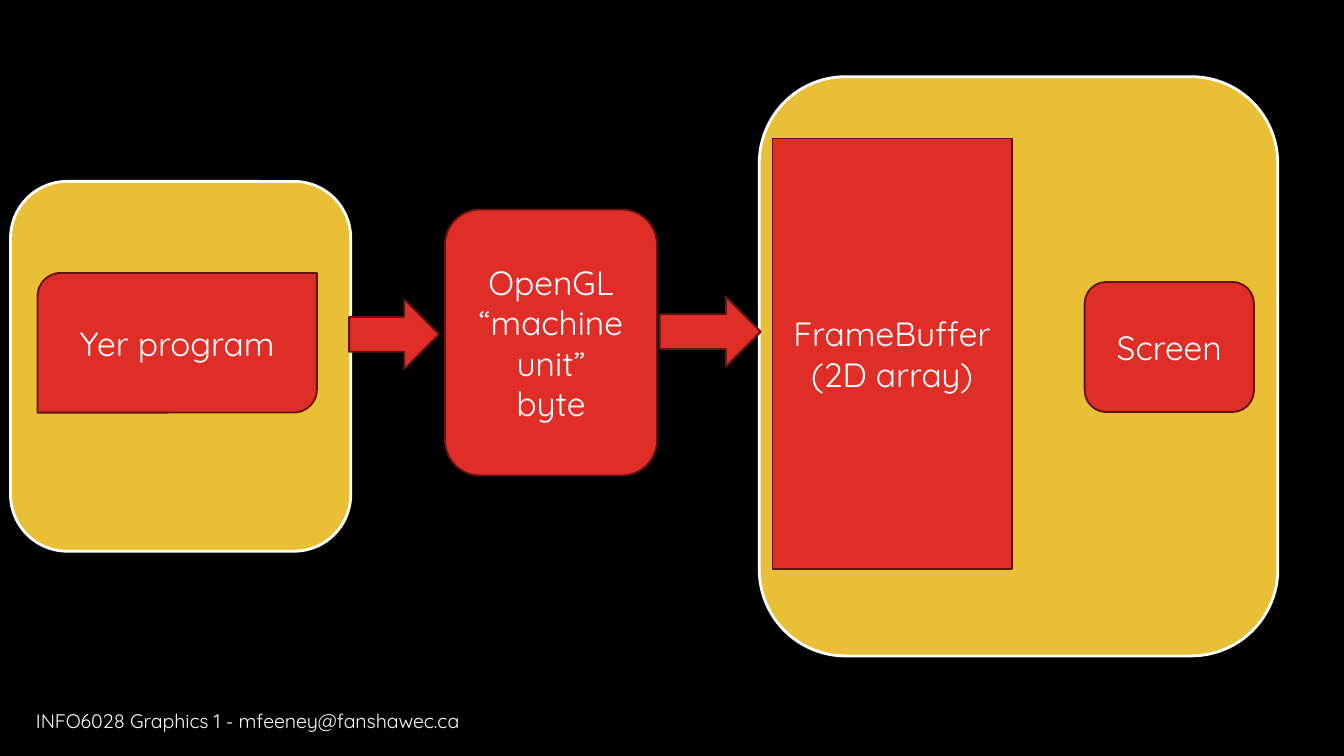
from dataclasses import dataclass

from pptx import Presentation
from pptx.dml.color import RGBColor
from pptx.enum.shapes import MSO_SHAPE
from pptx.enum.text import MSO_ANCHOR, PP_ALIGN
from pptx.util import Cm, Pt


@dataclass(frozen=True)
class Theme:
    font: str = "Quicksand"
    background: RGBColor = RGBColor(0x00, 0x00, 0x00)
    text: RGBColor = RGBColor(0xFF, 0xFF, 0xFF)
    panel: RGBColor = RGBColor(0xE9, 0xBF, 0x35)
    panel_line: RGBColor = RGBColor(0xFF, 0xFF, 0xFF)
    block: RGBColor = RGBColor(0xDF, 0x2E, 0x28)
    block_line: RGBColor = RGBColor(0x62, 0x14, 0x12)
    label_size: float = 18
    footer_size: float = 10.5
    panel_line_width: float = 1.5
    block_line_width: float = 1


THEME = Theme()

# Content: boxes are left, top, width, height in centimetres
FOOTER = ("INFO6028 Graphics 1 - mfeeney@fanshawec.ca", (0.43, 13.28, 17.78, 0.71))
PANELS = [
    (14.35, 1.45, 9.8, 10.95),
    (0.2, 3.43, 6.43, 6.99),
]
BLOCKS = [
    (MSO_SHAPE.ROUNDED_RECTANGLE, (8.41, 3.96, 4.01, 5.03), ["OpenGL", "“machine unit”", "byte"]),
    (MSO_SHAPE.RECTANGLE, (14.6, 2.62, 4.52, 8.13), ["FrameBuffer", "(2D array)"]),
    (MSO_SHAPE.ROUND_2_DIAG_RECTANGLE, (0.71, 5.16, 5.28, 2.64), ["Yer program"]),
    (MSO_SHAPE.RIGHT_ARROW, (6.6, 5.66, 1.7, 1.32), []),
    (MSO_SHAPE.RIGHT_ARROW, (12.47, 5.61, 1.91, 1.32), []),
    (MSO_SHAPE.ROUNDED_RECTANGLE, (20.5, 5.33, 3.2, 2.46), ["Screen"]),
]


def write_text(text_frame, lines, size, alignment):
    text_frame.word_wrap = True
    text_frame.text = "\n".join(lines)
    for paragraph in text_frame.paragraphs:
        paragraph.alignment = alignment
        for run in paragraph.runs:
            run.font.name = THEME.font
            run.font.size = Pt(size)
            run.font.color.rgb = THEME.text


def add_filled_shape(slide, kind, box, fill, line, line_width):
    shape = slide.shapes.add_shape(kind, *map(Cm, box))
    shape.shadow.inherit = False
    shape.fill.solid()
    shape.fill.fore_color.rgb = fill
    shape.line.color.rgb = line
    shape.line.width = Pt(line_width)
    return shape


def main():
    presentation = Presentation()
    presentation.slide_width, presentation.slide_height = Cm(25.4), Cm(14.29)
    slide = presentation.slides.add_slide(presentation.slide_layouts[6])
    slide.background.fill.solid()
    slide.background.fill.fore_color.rgb = THEME.background

    # Footer
    footer_text, footer_box = FOOTER
    footer = slide.shapes.add_textbox(*map(Cm, footer_box))
    write_text(footer.text_frame, [footer_text], THEME.footer_size, PP_ALIGN.LEFT)

    # Panels behind the program and the display
    for box in PANELS:
        add_filled_shape(slide, MSO_SHAPE.ROUNDED_RECTANGLE, box,
                         THEME.panel, THEME.panel_line, THEME.panel_line_width)

    # Pipeline stages and the arrows between them
    for kind, box, lines in BLOCKS:
        shape = add_filled_shape(slide, kind, box,
                                 THEME.block, THEME.block_line, THEME.block_line_width)
        if lines:
            shape.text_frame.vertical_anchor = MSO_ANCHOR.MIDDLE
            write_text(shape.text_frame, lines, THEME.label_size, PP_ALIGN.CENTER)

    presentation.save("out.pptx")


if __name__ == "__main__":
    main()
